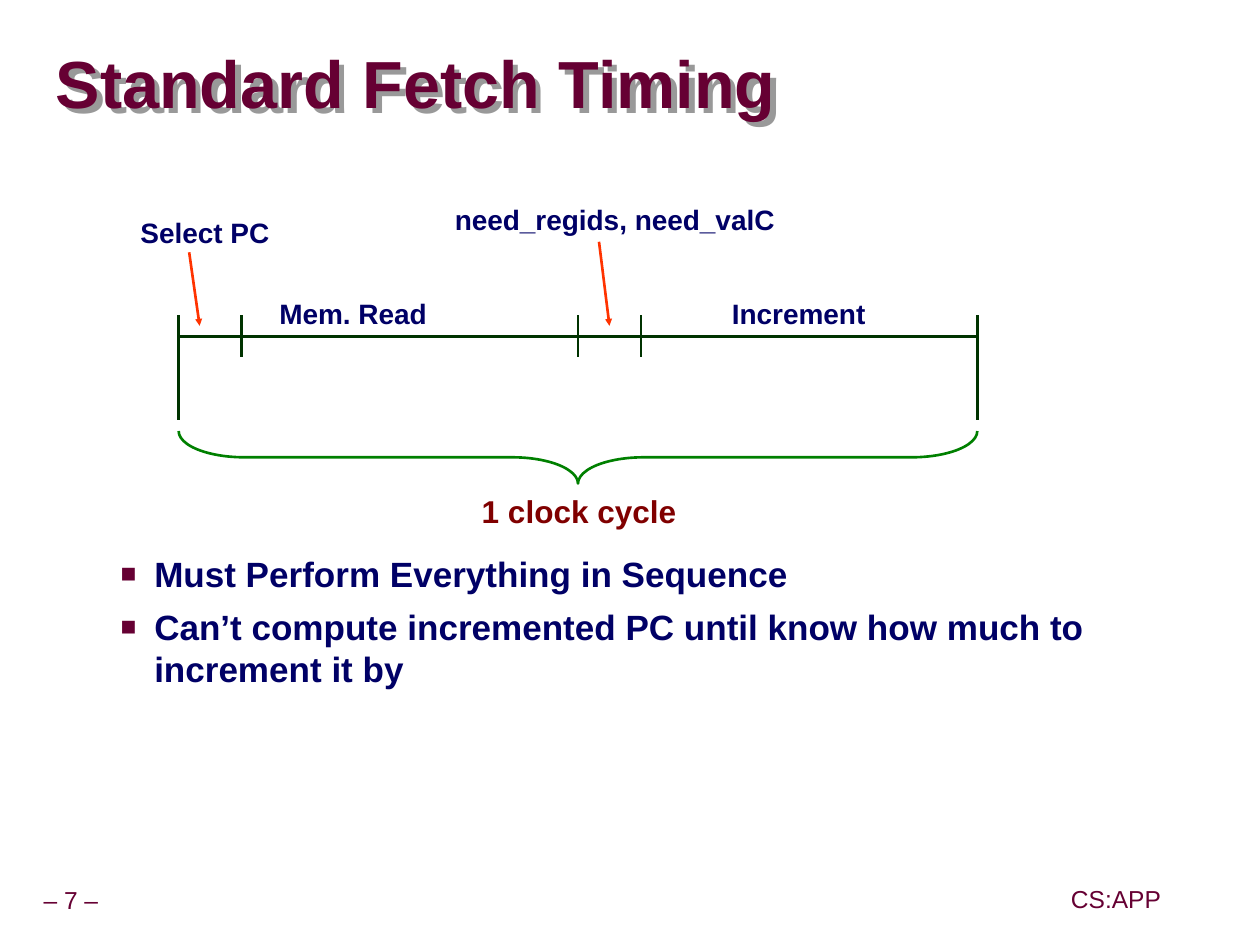
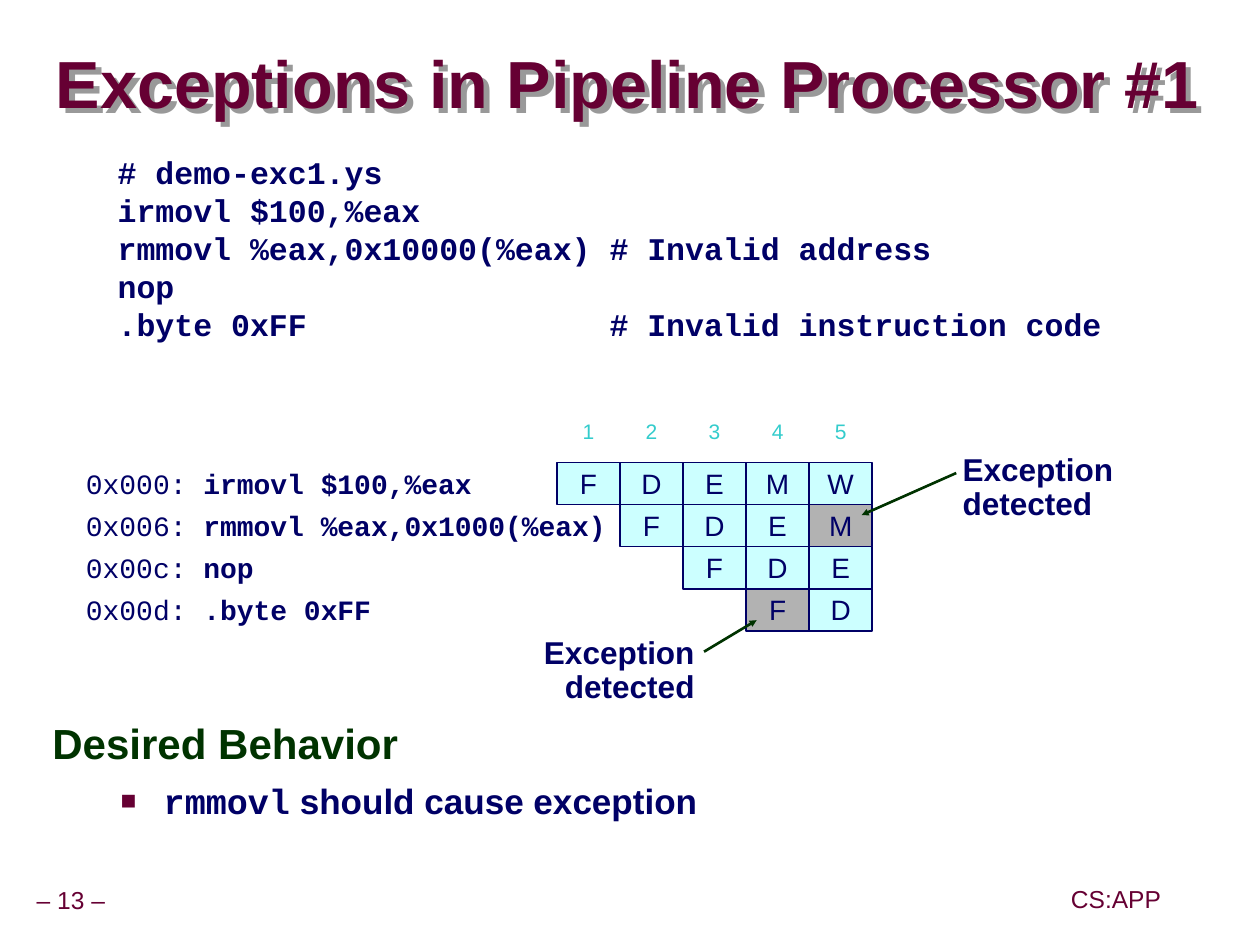
"""Build two lecture slides: fetch timing and pipeline exceptions."""
from itertools import pairwise

from lxml import etree
from pptx import Presentation
from pptx.dml.color import RGBColor
from pptx.enum.shapes import MSO_CONNECTOR, MSO_SHAPE
from pptx.enum.text import MSO_ANCHOR, MSO_AUTO_SIZE, PP_ALIGN
from pptx.oxml.ns import qn
from pptx.util import Pt

PX = 7620
SLIDE_W, SLIDE_H = 1199, 899
SANS, MONO = "Arial", "Courier New"
LEFT, CENTER, RIGHT = PP_ALIGN.LEFT, PP_ALIGN.CENTER, PP_ALIGN.RIGHT
TOP, MIDDLE = MSO_ANCHOR.TOP, MSO_ANCHOR.MIDDLE
GROW = MSO_AUTO_SIZE.SHAPE_TO_FIT_TEXT
STRAIGHT = MSO_CONNECTOR.STRAIGHT
RECTANGLE, LEFT_BRACE = MSO_SHAPE.RECTANGLE, MSO_SHAPE.LEFT_BRACE

MAROON = RGBColor(0x66, 0x00, 0x33)
NAVY = RGBColor(0x00, 0x00, 0x66)
DARK_GREEN = RGBColor(0x00, 0x33, 0x00)
GREEN = RGBColor(0x00, 0x80, 0x00)
ORANGE = RGBColor(0xFF, 0x33, 0x00)
DARK_RED = RGBColor(0x80, 0x00, 0x00)
TEAL = RGBColor(0x33, 0xCC, 0xCC)
PALE_CYAN = RGBColor(0xCC, 0xFF, 0xFF)
GRAY = RGBColor(0xB2, 0xB2, 0xB2)
SHADOW_GRAY = RGBColor(0x99, 0x99, 0x99)

COURSE = "CS:APP"

AXIS_Y, TICK_TOP = 320, 300
TICKS = [(170, 400), (230, 340), (550, 340), (610, 340), (930, 400)]
TIMING_LABELS = [
    ("Select PC", (125, 203, 140, 41)),
    ("Mem. Read", (256, 280, 160, 41)),
    ("Increment", (685, 280, 150, 41)),
    ("need_regids, need_valC", (425, 190, 320, 41)),
]
TIMING_ARROWS = [((180, 240), (190, 310)), ((570, 230), (580, 310))]
BRACE_TOP, BRACE_DEPTH = 410, 50
CYCLE_LABEL = "1 clock cycle"
TIMING_POINTS = [
    "Must Perform Everything in Sequence",
    "Can’t compute incremented PC until know how much to increment it by",
]

CODE = [
    "  # demo-exc1.ys",
    "  irmovl $100,%eax",
    "  rmmovl %eax,0x10000(%eax) # Invalid address",
    "  nop",
    "  .byte 0xFF                # Invalid instruction code",
]
PIPELINE = [
    ("0x000: ", "irmovl $100,%eax", "FDEMW"),
    ("0x006: ", "rmmovl %eax,0x1000(%eax)", "FDEM"),
    ("0x00c: ", "nop", "FDE"),
    ("0x00d: ", ".byte 0xFF", "FD"),
]
FAULTS = {(1, 4), (3, 3)}
CYCLES = 5
GRID_X, GRID_Y, CELL_W, CELL_H = 530, 440, 60, 40
CYCLE_Y, LISTING_X = 390, 70
FAULT_TEXT = "Exception detected"
FAULT_NOTES = [
    ((910, 426, 287, 44), LEFT, (910, 450), (820, 490)),
    ((380, 600, 287, 44), RIGHT, (670, 620), (720, 590)),
]
BEHAVIOR = "Desired Behavior"
BEHAVIOR_POINT = [("rmmovl", MONO, True), (" should cause exception", SANS, True)]


def emu(*lengths):
    return [round(length * PX) for length in lengths]


def add_effects(shape):
    return etree.SubElement(shape._element.spPr, qn("a:effectLst"))


def style(paragraph, size, color, bold=False, face=SANS, align=LEFT, spacing=None):
    paragraph.alignment = align
    if spacing:
        paragraph.line_spacing = spacing
    font = paragraph.font
    font.size, font.name, font.bold = Pt(size), face, bold
    font.color.rgb = color


def add_runs(paragraph, runs):
    for text, face, bold in runs:
        run = paragraph.add_run()
        run.text = text
        run.font.name, run.font.bold = face, bold


def set_frame(shape, inset_x, inset_y, anchor, wrap):
    frame = shape.text_frame
    frame.margin_left = frame.margin_right = inset_x * PX
    frame.margin_top = frame.margin_bottom = inset_y * PX
    frame.vertical_anchor, frame.word_wrap = anchor, wrap
    return frame


def add_box(slide, box, inset_x=6, inset_y=6, anchor=TOP, wrap=False):
    shape = slide.shapes.add_textbox(*emu(*box))
    return set_frame(shape, inset_x, inset_y, anchor, wrap)


def add_label(slide, text, box, size, color, bold=True, align=CENTER, anchor=TOP):
    frame = add_box(slide, box, anchor=anchor)
    frame.auto_size = GROW
    paragraph = frame.paragraphs[0]
    paragraph.text = text
    style(paragraph, size, color, bold, align=align, spacing=0.9)


def add_line(slide, start, end, color, arrow=False):
    line = slide.shapes.add_connector(STRAIGHT, *emu(*start, *end))
    line.line.color.rgb = color
    line.line.width = Pt(1.5)
    if arrow:
        etree.SubElement(line.line._get_or_add_ln(), qn("a:tailEnd"),
                         type="triangle", w="sm", len="sm")
    add_effects(line)


def add_bullet(paragraph, margin=97, hang=32):
    properties = paragraph._p.get_or_add_pPr()
    properties.set("marL", str(margin * PX))
    properties.set("indent", str(-hang * PX))
    color = etree.SubElement(properties, qn("a:buClr"))
    etree.SubElement(color, qn("a:srgbClr"), val=str(MAROON))
    etree.SubElement(properties, qn("a:buSzPct"), val="75000")
    etree.SubElement(properties, qn("a:buFont"), typeface=SANS)
    etree.SubElement(properties, qn("a:buChar"), char="■")


def add_slide(deck, title, number):
    slide = deck.slides.add_slide(deck.slide_layouts[6])
    add_label(slide, f"– {number} –", (-11, 839, 157, 37), 14, MAROON, False, anchor=MIDDLE)
    add_label(slide, COURSE, (1013, 838, 98, 37), 14, MAROON, False, anchor=MIDDLE)
    heading = slide.shapes.add_textbox(*emu(53, 32, 1142, 102))
    paragraph = set_frame(heading, 0, 0, MIDDLE, True).paragraphs[0]
    paragraph.text = title
    style(paragraph, 38, MAROON, True, spacing=0.87)
    shadow = etree.SubElement(add_effects(heading), qn("a:outerShdw"),
                              dist="56800", dir="2700000", algn="ctr", rotWithShape="0")
    etree.SubElement(shadow, qn("a:srgbClr"), val=str(SHADOW_GRAY))
    return slide


def build_timing(deck):
    slide = add_slide(deck, "Standard Fetch Timing", 7)
    points = add_box(slide, (38, 520, 1088, 324), 12, 6, wrap=True)
    for index, text in enumerate(TIMING_POINTS):
        paragraph = points.add_paragraph() if index else points.paragraphs[0]
        paragraph.text = text
        add_bullet(paragraph)
        if index:
            paragraph.space_before = Pt(6.2)
        style(paragraph, 20, NAVY, True)

    for x, bottom in TICKS:
        add_line(slide, (x, TICK_TOP), (x, bottom), DARK_GREEN)
    for (start, _), (end, _) in pairwise(TICKS):
        add_line(slide, (start, AXIS_Y), (end, AXIS_Y), DARK_GREEN)
    for text, box in TIMING_LABELS:
        add_label(slide, text, box, 16, NAVY)
    for start, end in TIMING_ARROWS:
        add_line(slide, start, end, ORANGE, arrow=True)

    first, last = TICKS[0][0], TICKS[-1][0]
    span, middle = last - first, (first + last) / 2
    brace_y = BRACE_TOP + BRACE_DEPTH / 2
    brace = slide.shapes.add_shape(LEFT_BRACE, *emu(
        middle - BRACE_DEPTH / 2, brace_y - span / 2, BRACE_DEPTH, span))
    brace.rotation = 270
    brace.adjustments[0] = 1.25
    brace.shadow.inherit = False
    brace.fill.background()
    brace.line.color.rgb = GREEN
    brace.line.width = Pt(1.5)
    add_label(slide, CYCLE_LABEL, (446, 466, 210, 44), 18, DARK_RED)


def add_stage(slide, row, column, stage):
    cell = slide.shapes.add_shape(RECTANGLE, *emu(
        GRID_X + column * CELL_W, GRID_Y + row * CELL_H, CELL_W, CELL_H))
    cell.shadow.inherit = False
    cell.fill.solid()
    cell.fill.fore_color.rgb = GRAY if (row, column) in FAULTS else PALE_CYAN
    cell.line.color.rgb = NAVY
    cell.line.width = Pt(1)
    paragraph = set_frame(cell, 12, 6, MIDDLE, False).paragraphs[0]
    paragraph.text = stage
    style(paragraph, 16, NAVY, align=CENTER)


def build_exceptions(deck):
    slide = add_slide(deck, "Exceptions in Pipeline Processor #1", 13)
    behavior = add_box(slide, (38, 680, 1088, 155), 12, 6, wrap=True)
    heading, point = behavior.paragraphs[0], behavior.add_paragraph()
    heading.text = BEHAVIOR
    style(heading, 24, DARK_GREEN, True, spacing=0.95)
    add_runs(point, BEHAVIOR_POINT)
    add_bullet(point, 106, 41)
    point.space_before = Pt(6.2)
    style(point, 20, NAVY, True)

    code = add_box(slide, (70, 140, 1070, 192), wrap=True)
    for index, text in enumerate(CODE):
        paragraph = code.add_paragraph() if index else code.paragraphs[0]
        paragraph.text = text
        style(paragraph, 18, NAVY, True, MONO)

    for column in range(CYCLES):
        box = (GRID_X + column * CELL_W, CYCLE_Y, CELL_W, CELL_H)
        paragraph = add_box(slide, box, 12, 6, MIDDLE).paragraphs[0]
        paragraph.text = str(column + 1)
        style(paragraph, 12, TEAL, align=CENTER)

    for row, (address, instruction, stages) in enumerate(PIPELINE):
        box = (LISTING_X, GRID_Y + row * CELL_H, 520, CELL_H)
        paragraph = add_box(slide, box, 12, 6, MIDDLE).paragraphs[0]
        add_runs(paragraph, [(address, MONO, False), (instruction, MONO, True)])
        style(paragraph, 16, NAVY, face=MONO)
        for column, stage in enumerate(stages, row):
            add_stage(slide, row, column, stage)

    for box, align, start, end in FAULT_NOTES:
        add_line(slide, start, end, DARK_GREEN, arrow=True)
        add_label(slide, FAULT_TEXT, box, 18, NAVY, align=align)


def main():
    deck = Presentation()
    deck.slide_width, deck.slide_height = emu(SLIDE_W, SLIDE_H)
    build_timing(deck)
    build_exceptions(deck)
    deck.save("out.pptx")


if __name__ == "__main__":
    main()
